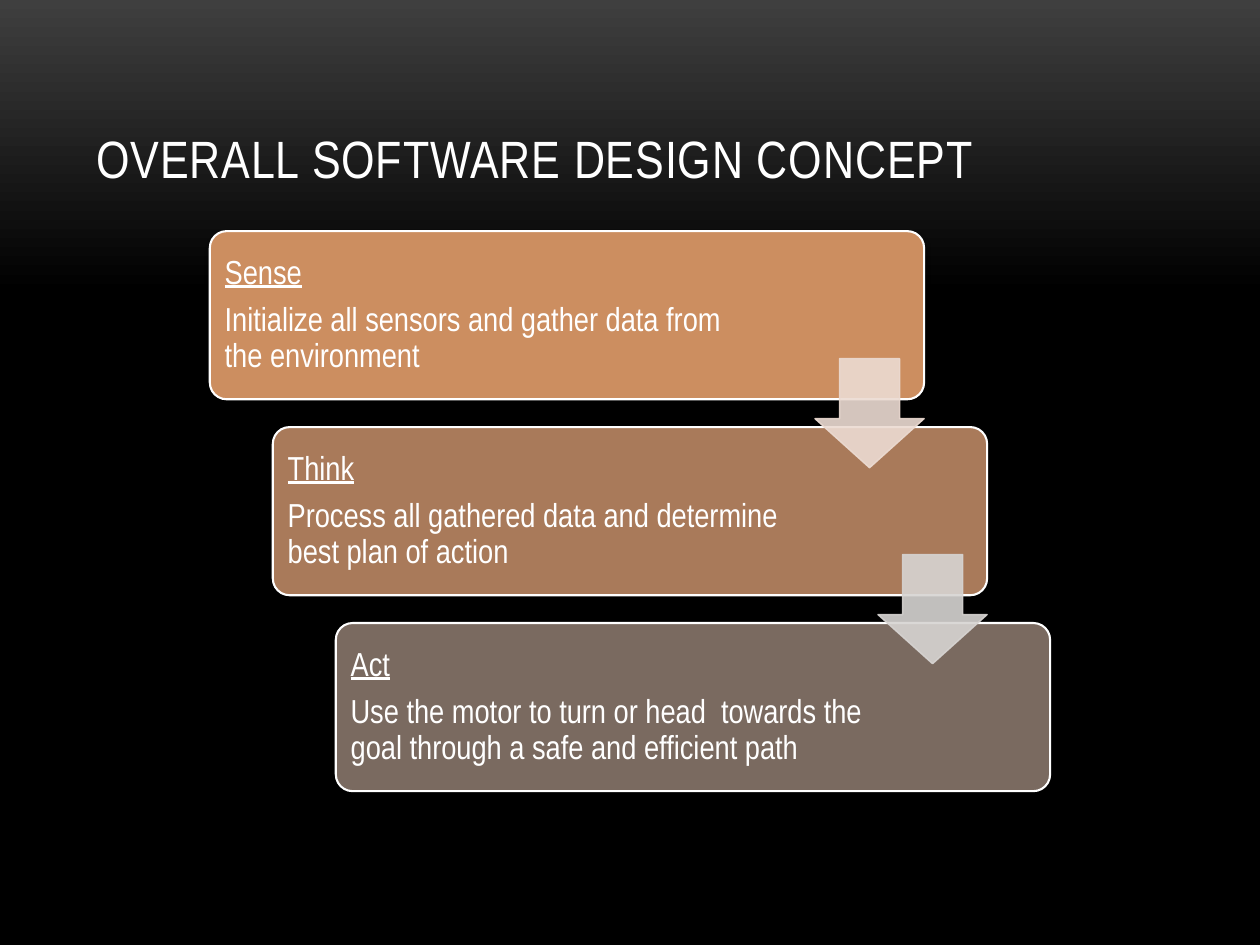
from copy import deepcopy
from dataclasses import dataclass

from lxml import etree
from pptx import Presentation
from pptx.dml.color import RGBColor
from pptx.enum import shapes, text
from pptx.oxml import ns
from pptx.util import Cm, Pt


@dataclass(frozen=True)
class Theme:
    font: str = "Arial Narrow"
    ink: str = "FFFFFF"
    bg_top: str = "3F3F3F"
    bg_base: str = "000000"
    title_size: float = 30
    body_size: float = 19
    para_gap: float = 6.7


@dataclass(frozen=True)
class Step:
    name: str
    detail: str
    fill: str
    arrow: str = ""  # colour of the arrow to the next step


THEME = Theme()
STEPS = [
    Step("Sense", "Initialize all sensors and gather data from the environment",
         "CC8E60", "ECDBD2"),
    Step("Think", "Process all gathered data and determine best plan of action",
         "A97A5A", "D7D4D2"),
    Step("Act", "Use the motor to turn or head  towards the goal through a safe "
         "and efficient path", "7A6A60"),
]

# Staircase geometry, in centimetres
LEFT, TOP = 4.23, 4.66
CARD_W, CARD_H = 14.4, 3.39
STEP_X, STEP_Y = 1.27, 3.95
PAD = 0.1
LABEL_W = 10.73
ARROW, ARROW_DROP = 2.2, 2.57


def rgb(value: str) -> RGBColor:
    return RGBColor.from_string(value)


def sub(parent, tag: str, **attrs):
    return etree.SubElement(parent, ns.qn(tag), {k: str(v) for k, v in attrs.items()})


def write(p, content: str, *, size: float, underline: bool = False,
          spacing: int = 0) -> None:
    r = p.add_run()
    r.text = content
    r.font.name = THEME.font
    r.font.size = Pt(size)
    r.font.bold = False
    r.font.underline = underline
    r.font.color.rgb = rgb(THEME.ink)
    if spacing:
        r.font._element.set("spc", str(spacing))


def add_block(parent, kind, x: float, y: float, w: float, h: float, *,
              fill: str, line: str, weight: float, adjust: list[float]):
    sp = parent.add_shape(kind, Cm(x), Cm(y), Cm(w), Cm(h))
    for i, value in enumerate(adjust):
        sp.adjustments[i] = value
    sp.fill.solid()
    sp.fill.fore_color.rgb = rgb(fill)
    sp.line.color.rgb = rgb(line)
    sp.line.width = Pt(weight)
    sp.shadow.inherit = False
    return sp


def add_card(parent, step: Step, x: float, y: float) -> None:
    sp = add_block(parent, shapes.MSO_SHAPE.ROUNDED_RECTANGLE, x, y, CARD_W, CARD_H,
                   fill=step.fill, line=THEME.ink, weight=1.2, adjust=[0.1])
    effects = sp._element.spPr.find(ns.qn("a:effectLst"))
    shadow = sub(effects, "a:outerShdw", blurRad=Pt(3), dist=Pt(2), dir=5400000,
                 rotWithShape=0)
    sub(sub(shadow, "a:srgbClr", val="000000"), "a:alpha", val=40000)

    # Step name and explanation
    box = parent.add_textbox(Cm(x + PAD), Cm(y + PAD), Cm(LABEL_W), Cm(CARD_H - 2 * PAD))
    tf = box.text_frame
    tf.word_wrap = True
    tf.vertical_anchor = text.MSO_ANCHOR.MIDDLE
    tf.margin_left = tf.margin_right = tf.margin_top = tf.margin_bottom = Cm(0.2)
    write(tf.paragraphs[0], step.name, size=THEME.body_size, underline=True)
    write(tf.add_paragraph(), step.detail, size=THEME.body_size)
    for p in tf.paragraphs:
        p.line_spacing = 0.9
        p.space_after = Pt(THEME.para_gap)


def add_arrow(parent, color: str, x: float, y: float) -> None:
    sp = add_block(parent, shapes.MSO_SHAPE.DOWN_ARROW, x, y, ARROW, ARROW,
                   fill=color, line=color, weight=0.85, adjust=[0.55, 0.45])
    for clr in sp._element.spPr.iter(ns.qn("a:srgbClr")):
        sub(clr, "a:alpha", val=90000)


def set_background(s) -> None:
    fill = s.background.fill
    fill.gradient()
    fill.gradient_angle = 270
    top, base = fill.gradient_stops
    top.position, base.position = 0, 0.31
    top.color.rgb, base.color.rgb = rgb(THEME.bg_top), rgb(THEME.bg_base)
    stops = s._element.find(".//" + ns.qn("a:gsLst"))
    end = deepcopy(stops[-1])
    end.set("pos", "100000")
    stops.append(end)


def add_title(s, content: str) -> None:
    sp = s.shapes.title
    sp.left, sp.top, sp.width, sp.height = Cm(1.69), Cm(0.76), Cm(22.02), Cm(3.18)
    tf = sp.text_frame
    tf.auto_size = text.MSO_AUTO_SIZE.NONE
    tf.vertical_anchor = text.MSO_ANCHOR.BOTTOM
    p = tf.paragraphs[0]
    p.alignment = text.PP_ALIGN.LEFT
    write(p, content, size=THEME.title_size, spacing=50)


def main() -> None:
    prs = Presentation()
    prs.slide_width, prs.slide_height = Cm(25.4), Cm(19.05)
    s = prs.slides.add_slide(prs.slide_layouts[5])
    set_background(s)
    add_title(s, "OVERALL SOFTWARE DESIGN CONCEPT")

    # Cards first, so the arrows lie over them
    diagram = s.shapes.add_group_shape().shapes
    spots = [(LEFT + i * STEP_X, TOP + i * STEP_Y) for i in range(len(STEPS))]
    for step, (x, y) in zip(STEPS, spots):
        add_card(diagram, step, x, y)
    for step, (x, y) in zip(STEPS, spots):
        if step.arrow:
            add_arrow(diagram, step.arrow, x + CARD_W - ARROW, y + ARROW_DROP)

    prs.save("out.pptx")


if __name__ == "__main__":
    main()
